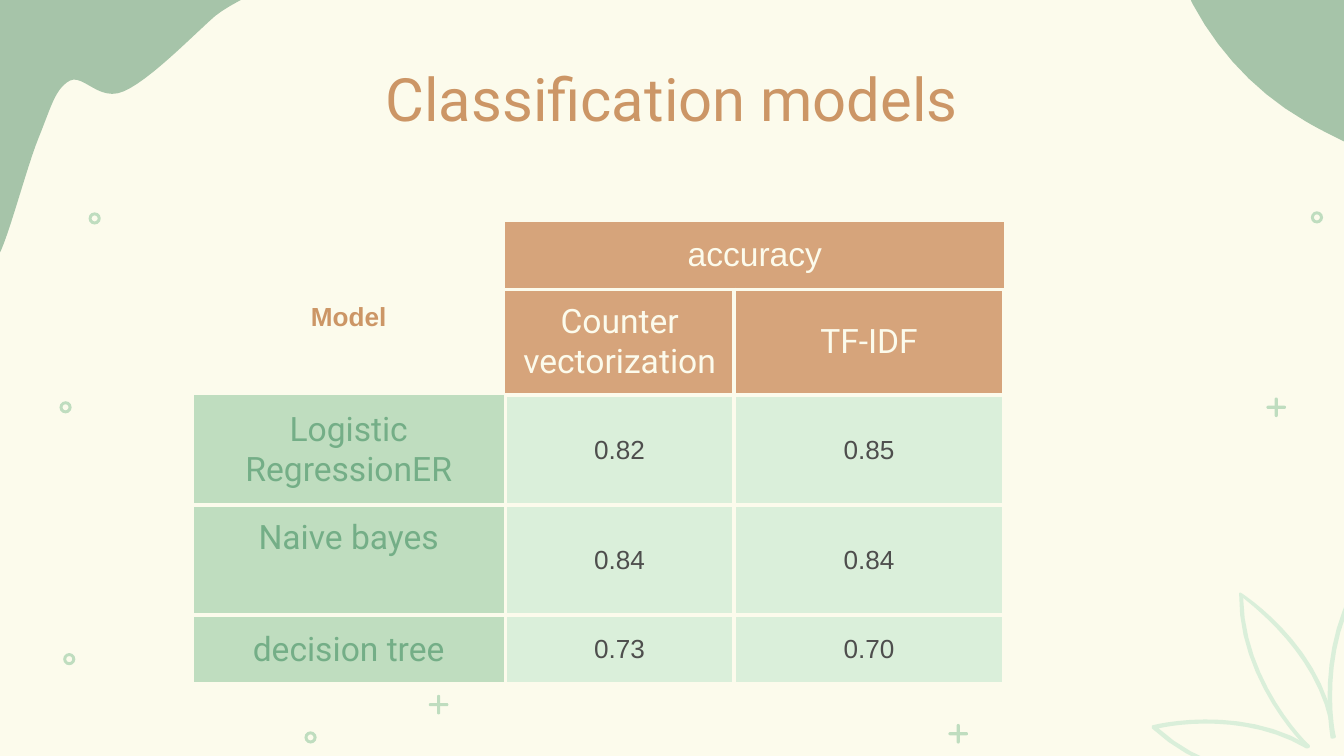
from dataclasses import dataclass

from lxml import etree
from pptx import Presentation
from pptx import util as u
from pptx.dml.color import RGBColor
from pptx.enum import shapes, text
from pptx.oxml.ns import qn


@dataclass(frozen=True)
class Theme:
    cream: str = "FCFBEC"
    sage: str = "A6C4A9"
    mint: str = "BFDDBF"
    pale: str = "DAEFDA"
    tan: str = "D6A47B"
    copper: str = "CC9666"
    leaf: str = "74AE87"
    ink: str = "4E4E4D"
    heading: str = "Roboto"
    body: str = "Arial"
    title_size: int = 32
    label_size: int = 18
    value_size: int = 14


THEME = Theme()
UNIT = u.Cm(2.54)  # unit of the outline coordinates below
NO_STYLE = "{2D5ABB26-0587-4C30-8999-92F81FD0307C}"

# Outlines: a start point, then curves of two control points and an end point
CORNERS = [
    [(8.63, -0.79),
     (8.69, -0.1, 9.1, 0.55, 9.71, 0.9), (9.86, 0.99, 10.03, 1.06, 10.18, 1.15),
     (10.52, 1.38, 10.8, 1.75, 11.19, 1.83), (11.19, 1, 11.19, 0, 11.12, -0.79)],
    [(-0.12, -0.2),
     (0.24, -0.54, 1.73, -0.31, 2.02, -0.25), (2.3, -0.2, 1.78, -0.03, 1.6, 0.12),
     (1.42, 0.28, 1.11, 0.6, 0.92, 0.68), (0.74, 0.76, 0.62, 0.55, 0.52, 0.6),
     (0.41, 0.66, 0.38, 0.8, 0.29, 1.02), (0.2, 1.24, 0.06, 1.78, -0.01, 1.9),
     (-0.08, 2.03, -0.12, 2.14, -0.14, 1.79), (-0.16, 1.44, -0.48, 0.14, -0.12, -0.2)],
]
LEAVES = [
    [(9.23, 4.41),
     (9.22, 4.41, 9.22, 4.42, 9.22, 4.42), (9.21, 5.06, 9.71, 5.56, 9.72, 5.56),
     (9.73, 5.58, 9.76, 5.56, 9.74, 5.54), (9.73, 5.54, 9.26, 5.07, 9.25, 4.45),
     (9.36, 4.54, 9.78, 4.87, 9.89, 5.36), (9.89, 5.38, 9.92, 5.38, 9.92, 5.36),
     (9.8, 4.78, 9.25, 4.42, 9.23, 4.41)],
    [(10.15, 4.26),
     (10.14, 4.26, 10.14, 4.26, 10.14, 4.26), (9.77, 4.79, 9.9, 5.48, 9.9, 5.49),
     (9.9, 5.5, 9.94, 5.5, 9.94, 5.48), (9.93, 5.47, 9.81, 4.82, 10.15, 4.31),
     (10.2, 4.43, 10.35, 4.95, 10.16, 5.42), (10.16, 5.44, 10.18, 5.44, 10.19, 5.43),
     (10.42, 4.88, 10.17, 4.27, 10.17, 4.27), (10.17, 4.26, 10.16, 4.26, 10.15, 4.26)],
    [(8.57, 5.4),
     (8.57, 5.41, 8.57, 5.42, 8.57, 5.42), (9.04, 5.86, 9.74, 5.83, 9.75, 5.83),
     (9.76, 5.83, 9.77, 5.81, 9.75, 5.8), (9.74, 5.8, 9.07, 5.83, 8.62, 5.42),
     (8.75, 5.39, 9.28, 5.31, 9.72, 5.57), (9.74, 5.57, 9.75, 5.55, 9.73, 5.54),
     (9.23, 5.24, 8.58, 5.39, 8.57, 5.4)],
]

# Centres of the small ornaments, in centimetres
RINGS = [(1.31, 12.46), (1.24, 7.7), (1.79, 4.13), (5.87, 13.94), (24.89, 4.11)]
PLUSES = [(8.29, 13.32), (18.11, 13.87), (24.12, 7.7)]

COLUMNS = [5.92, 4.32, 5.11]
ROWS = [1.3, 2, 2.08, 2.08, 1.3]
SCORES = [("Logistic RegressionER", "0.82", "0.85"),
          ("Naive bayes", "0.84", "0.84"),
          ("decision tree", "0.73", "0.70")]


def write(frame, content, *, size, color, font, bold=False):
    paragraph = frame.paragraphs[0]
    paragraph.alignment = text.PP_ALIGN.CENTER
    run = paragraph.add_run()
    run.text = content
    run.font.size, run.font.name, run.font.bold = u.Pt(size), font, bold
    run.font.color.rgb = RGBColor.from_string(color)


def curve_points(start, curves, steps=12):
    x, y = start
    for x1, y1, x2, y2, x3, y3 in curves:
        for step in range(1, steps + 1):
            t = step / steps
            s = 1 - t
            yield tuple(
                round(UNIT * (s**3 * a + 3 * s * s * t * b + 3 * s * t * t * c + t**3 * d))
                for a, b, c, d in ((x, x1, x2, x3), (y, y1, y2, y3)))
        x, y = x3, y3


class SlideBuilder:
    def __init__(self, slide, theme):
        self.slide, self.theme = slide, theme
        slide.background.fill.solid()
        slide.background.fill.fore_color.rgb = RGBColor.from_string(theme.cream)

    def paint(self, shape, color):
        shape.shadow.inherit = False
        shape.fill.solid()
        shape.fill.fore_color.rgb = RGBColor.from_string(color)
        shape.line.fill.background()

    def outline(self, path, color):
        start, *curves = path
        builder = self.slide.shapes.build_freeform(*(round(UNIT * v) for v in start))
        builder.add_line_segments(list(curve_points(start, curves)), close=True)
        self.paint(builder.convert_to_shape(), color)

    def centred(self, kind, x, y, width, height, adjustment):
        shape = self.slide.shapes.add_shape(
            kind, u.Cm(x - width / 2), u.Cm(y - height / 2), u.Cm(width), u.Cm(height))
        shape.adjustments[0] = adjustment
        self.paint(shape, self.theme.mint)

    def ring(self, x, y):
        self.centred(shapes.MSO_SHAPE.DONUT, x, y, 0.23, 0.23, 0.25)

    def plus(self, x, y):
        for width, height in ((0.37, 0.06), (0.06, 0.37)):
            self.centred(shapes.MSO_SHAPE.ROUNDED_RECTANGLE, x, y, width, height, 0.5)

    def title(self, content):
        shape = self.slide.shapes.title
        shape.left, shape.top = u.Cm(1.9), u.Cm(2.06)
        shape.width, shape.height = u.Cm(21.6), u.Cm(0.84)
        frame = shape.text_frame
        frame.auto_size = text.MSO_AUTO_SIZE.NONE
        frame.vertical_anchor = text.MSO_ANCHOR.BOTTOM
        frame.margin_bottom = u.Cm(0.38)
        write(frame, content, size=self.theme.title_size,
              color=self.theme.copper, font=self.theme.heading)

    def table(self, left, top, columns, rows):
        frame = self.slide.shapes.add_table(
            len(rows), len(columns), u.Cm(left), u.Cm(top),
            u.Cm(sum(columns)), u.Cm(sum(rows)))
        table = frame.table
        table.first_row = table.horz_banding = False
        table._tbl.tblPr.find(qn("a:tableStyleId")).text = NO_STYLE
        for column, width in zip(table.columns, columns):
            column.width = u.Cm(width)
        for row, height in zip(table.rows, rows):
            row.height = u.Cm(height)
        for cell in table.iter_cells():
            cell.fill.background()
        return table

    def cell(self, cell, content, *, fill=None, edges="LRTB", top=False, **style):
        cell.vertical_anchor = text.MSO_ANCHOR.TOP if top else text.MSO_ANCHOR.MIDDLE
        cell.margin_left = cell.margin_right = u.Cm(0.25)
        cell.margin_top = cell.margin_bottom = u.Cm(0.25)
        write(cell.text_frame, content, **style)
        if fill:
            cell.fill.solid()
            cell.fill.fore_color.rgb = RGBColor.from_string(fill)
        properties = cell._tc.get_or_add_tcPr()
        for index, edge in enumerate(edges):
            line = etree.Element(qn(f"a:ln{edge}"), w=str(u.Pt(2.25)))
            solid = etree.SubElement(line, qn("a:solidFill"))
            etree.SubElement(solid, qn("a:srgbClr"), val=self.theme.cream)
            properties.insert(index, line)


def main():
    presentation = Presentation()
    presentation.slide_width, presentation.slide_height = u.Cm(25.4), u.Cm(14.29)
    slide = presentation.slides.add_slide(presentation.slide_layouts[5])
    builder = SlideBuilder(slide, THEME)

    # Decoration
    for path in CORNERS:
        builder.outline(path, THEME.sage)
    for path in LEAVES:
        builder.outline(path, THEME.pale)
    for centre in RINGS:
        builder.ring(*centre)
    for centre in PLUSES:
        builder.plus(*centre)

    builder.title("Classification models")

    # Table headings
    table = builder.table(3.63, 4.17, COLUMNS, ROWS)
    label = dict(size=THEME.label_size, font=THEME.heading)
    value = dict(size=THEME.value_size, font=THEME.body)
    heading = dict(label, fill=THEME.tan, color=THEME.cream)
    table.cell(0, 1).merge(table.cell(0, 2))
    builder.cell(table.cell(0, 1), "accuracy", edges="TB", **dict(heading, font=THEME.body))
    builder.cell(table.cell(1, 0), "Model", edges="", top=True, bold=True,
                 color=THEME.copper, **value)
    builder.cell(table.cell(1, 1), "Counter vectorization", edges="RTB", **heading)
    builder.cell(table.cell(1, 2), "TF-IDF", **heading)

    # Scores of each model
    for row, (model, *scores) in enumerate(SCORES, start=2):
        builder.cell(table.cell(row, 0), model, fill=THEME.mint, color=THEME.leaf,
                     edges="LRB" if row == 2 else "LRTB", top=row == 3, **label)
        for column, score in enumerate(scores, start=1):
            builder.cell(table.cell(row, column), score, fill=THEME.pale,
                         color=THEME.ink, **value)

    presentation.save("out.pptx")


if __name__ == "__main__":
    main()
